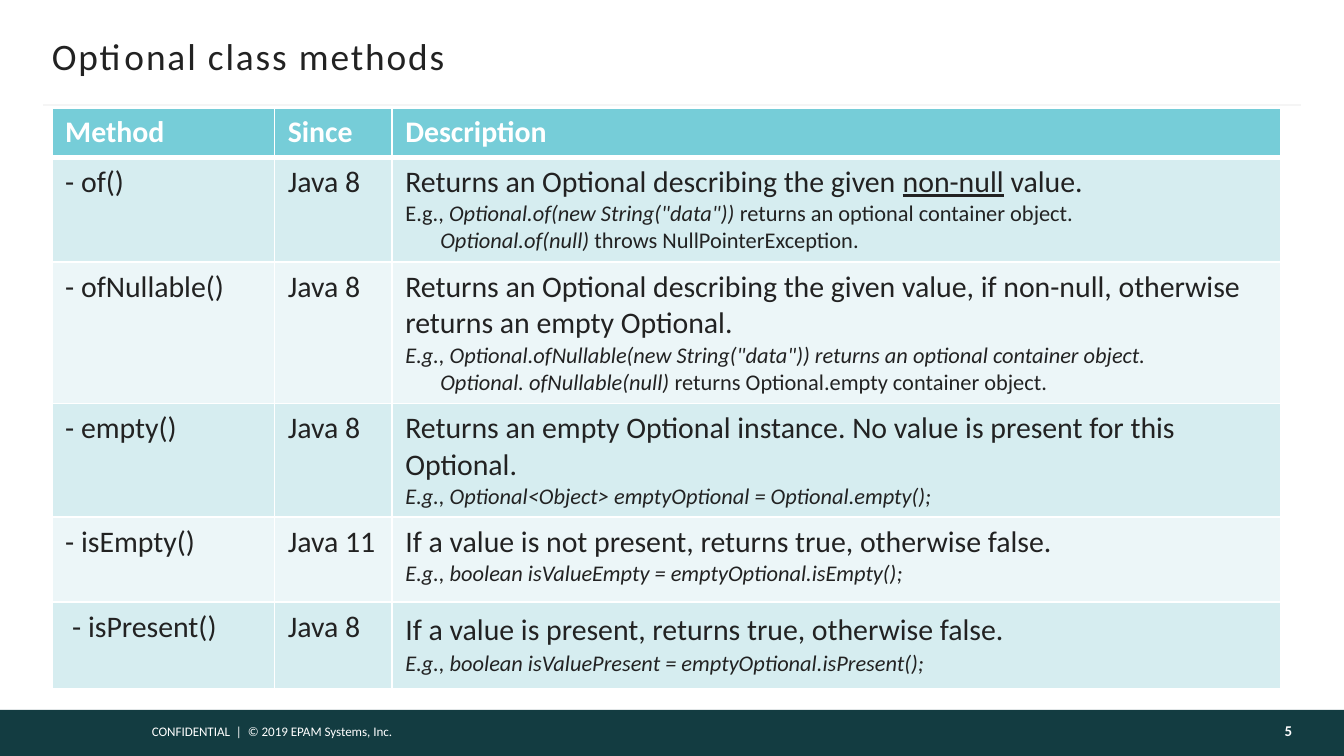
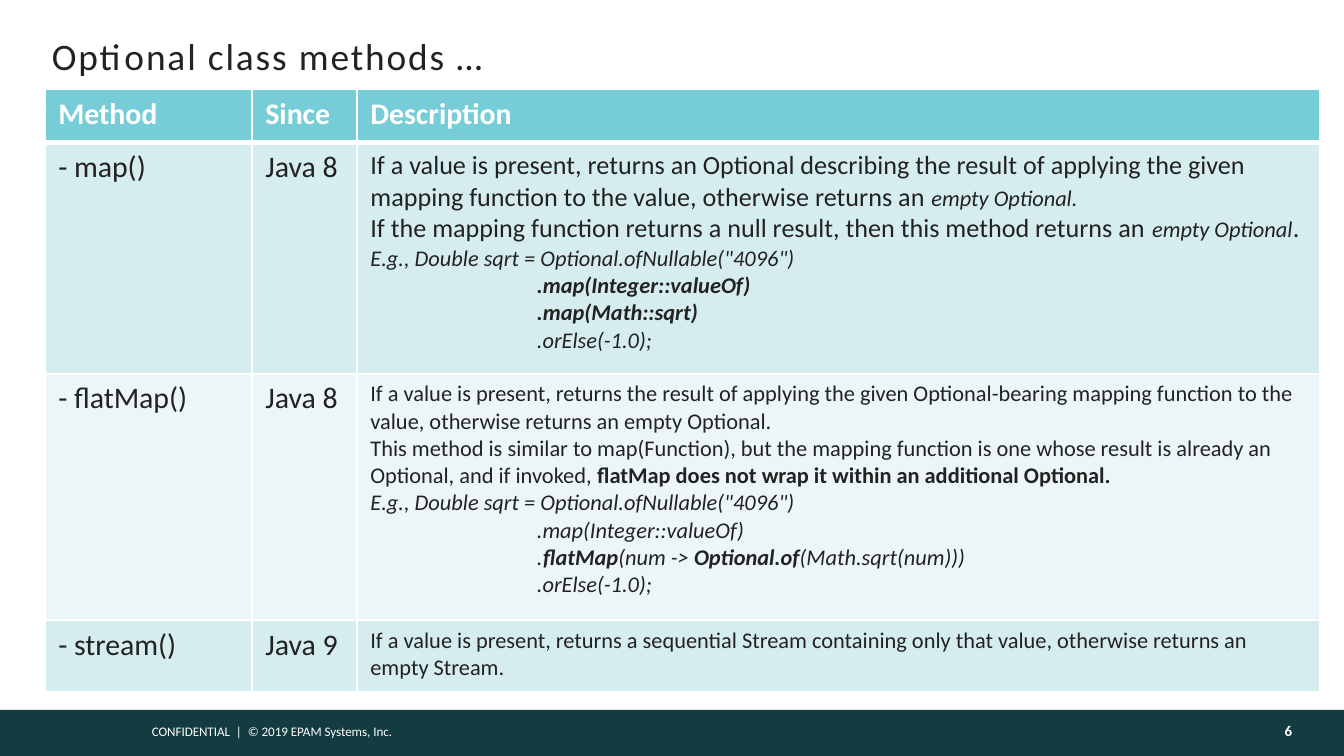
from dataclasses import dataclass
from typing import Any

import lxml.etree
import pptx
import pptx.dml.color
import pptx.enum.shapes
import pptx.enum.text
import pptx.oxml.ns
import pptx.util

# Shared scale, colours and type
EMU_PER_PX = 9525
SLIDE_WIDTH, SLIDE_HEIGHT = 960, 540
BAND_TOP = 507
FONT = "Calibri"
WHITE, INK, DARK_TEAL, RULE_GREY = "FFFFFF", "222222", "133C41", "F5F5F5"
HEADER_FILL = "76CDD8"
BAND_FILLS = ("D6EDF0", "ECF6F8")
FOOTER = "CONFIDENTIAL  |  © 2019 EPAM Systems, Inc."
HEADINGS = ("Method", "Since", "Description")
CHAIN = "\n" + " " * 33
EXAMPLE_INDENT = 25

MIDDLE = pptx.enum.text.MSO_ANCHOR.MIDDLE
LEFT = pptx.enum.text.PP_ALIGN.LEFT
RIGHT = pptx.enum.text.PP_ALIGN.RIGHT


@dataclass(frozen=True)
class Run:
    text: str
    size: int = 16
    style: str = ""  # any of b, i, u


@dataclass(frozen=True)
class Line:
    runs: tuple[Run, ...]
    indent: int = 0


@dataclass(frozen=True)
class Method:
    name: str
    since: str
    description: tuple[Line, ...]
    height: int
    indent: int = 0


@dataclass(frozen=True)
class MethodSlide:
    title: str
    number: int
    left: int
    top: int
    column_widths: tuple[int, ...]
    header_height: int
    methods: tuple[Method, ...]


def line(text: str, size: int = 16, style: str = "") -> Line:
    return Line((Run(text, size, style),))


def example(text: str) -> Line:
    return line(text, 12, "i")


# Slide contents
SLIDES = (
    MethodSlide("Optional class methods", 5, 37, 77, (159, 84, 635), 35, (
        Method("- of()", "Java 8", (
            Line((Run("Returns an Optional describing the given "),
                  Run("non-null", style="u"), Run(" value."))),
            Line((Run("E.g., ", 12), Run('Optional.of(new String("data"))', 12, "i"),
                  Run(" returns an optional container object.", 12))),
            Line((Run("Optional.of(null)", 12, "i"),
                  Run(" throws NullPointerException.", 12)), EXAMPLE_INDENT),
        ), 75),
        Method("- ofNullable()", "Java 8", (
            line("Returns an Optional describing the given value, if non-null, "
                 "otherwise returns an empty Optional."),
            example('E.g., Optional.ofNullable(new String("data")) '
                    "returns an optional container object."),
            Line((Run("Optional. ofNullable(null) ", 12, "i"),
                  Run("returns Optional.empty container object.", 12)), EXAMPLE_INDENT),
        ), 101),
        Method("- empty()", "Java 8", (
            line("Returns an empty Optional instance. "
                 "No value is present for this Optional."),
            example("E.g., Optional<Object> emptyOptional = Optional.empty();"),
        ), 81),
        Method("- isEmpty()", "Java 11", (
            line("If a value is not present, returns true, otherwise false."),
            example("E.g., boolean isValueEmpty = emptyOptional.isEmpty();"),
        ), 61),
        Method("- isPresent()", "Java 8", (
            Line((Run("If a value is present, returns true, otherwise false."),
                  Run(" ", 18))),
            example("E.g., boolean isValuePresent = emptyOptional.isPresent();"),
        ), 62, 5),
    )),
    MethodSlide("Optional class methods …", 6, 32, 64, (148, 75, 688), 38, (
        Method("- map()", "Java 8", (
            Line((Run("If a value is present, returns an Optional describing the result of "
                      "applying the given mapping function to the value, otherwise "
                      "returns an ", 14), Run("empty Optional.", 12, "i"))),
            Line((Run("If the mapping function returns a null result, "
                      "then this method returns an ", 14),
                  Run("empty Optional", 12, "i"), Run(".", 14))),
            Line((Run('E.g., Double sqrt = Optional.ofNullable("4096")', 12, "i"),
                  Run(f"{CHAIN}.map(Integer::valueOf){CHAIN}.map(Math::sqrt)", 12, "bi"),
                  Run(f"{CHAIN}.orElse(-1.0);", 12, "i"))),
        ), 165),
        Method("- flatMap()", "Java 8", (
            line("If a value is present, returns the result of applying the given "
                 "Optional-bearing mapping function to the value, otherwise returns "
                 "an empty Optional.", 12),
            Line((Run("This method is similar to map(Function), but the mapping function is "
                      "one whose result is already an Optional, and if invoked, ", 12),
                  Run("flatMap does not wrap it within an additional Optional.", 12, "b"))),
            Line((Run('E.g., Double sqrt = Optional.ofNullable("4096")'
                      f"{CHAIN}.map(Integer::valueOf){CHAIN}.", 12, "i"),
                  Run("flatMap", 12, "bi"), Run("(num -> ", 12, "i"),
                  Run("Optional.of", 12, "bi"),
                  Run(f"(Math.sqrt(num))){CHAIN}.orElse(-1.0);", 12, "i"))),
        ), 176),
        Method("- stream()", "Java 9", (
            line("If a value is present, returns a sequential Stream containing only that "
                 "value, otherwise returns an empty Stream.", 12),
        ), 51),
    )),
)


# Helpers
def px(length: int) -> pptx.util.Emu:
    return pptx.util.Emu(length * EMU_PER_PX)


def colour(value: str) -> pptx.dml.color.RGBColor:
    return pptx.dml.color.RGBColor.from_string(value)


def apply_format(target: Any, values: dict[str, Any]) -> None:
    for name, value in values.items():
        setattr(target, name, value)


def sub_element(parent: Any, tag: str, **attributes: str) -> Any:
    child = lxml.etree.SubElement(parent, pptx.oxml.ns.qn(tag))
    for name, value in attributes.items():
        child.set(name, value)
    return child


def write_run(paragraph: Any, content: Run, font_colour: str) -> None:
    for index, text in enumerate(content.text.split("\n")):
        if index:
            paragraph.add_line_break()
        if not text:
            continue
        run = paragraph.add_run()
        run.text = text
        apply_format(run.font, {
            "name": FONT, "size": pptx.util.Pt(content.size),
            "bold": "b" in content.style, "italic": "i" in content.style,
            "underline": "u" in content.style,
        })
        run.font.color.rgb = colour(font_colour)


def write_lines(text_frame: Any, lines: tuple[Line, ...], font_colour: str) -> None:
    for index, content in enumerate(lines):
        paragraph = text_frame.add_paragraph() if index else text_frame.paragraphs[0]
        if content.indent:
            paragraph._p.get_or_add_pPr().set("marL", str(px(content.indent)))
        for run in content.runs:
            write_run(paragraph, run, font_colour)


# Band, footer and rule, held by the layout
def move_frame_to_layout(slide: Any) -> None:
    band = slide.shapes.add_shape(
        pptx.enum.shapes.MSO_SHAPE.RECTANGLE,
        0, px(BAND_TOP), px(SLIDE_WIDTH), px(SLIDE_HEIGHT - BAND_TOP))
    band.shadow.inherit = False
    band.fill.solid()
    band.fill.fore_color.rgb = colour(DARK_TEAL)
    band.line.fill.background()

    footer = slide.shapes.add_textbox(px(99), px(512), px(254), px(21))
    footer.text_frame.word_wrap = True
    write_lines(footer.text_frame, (line(FOOTER, 7),), WHITE)

    rule = slide.shapes.add_connector(
        pptx.enum.shapes.MSO_CONNECTOR.STRAIGHT, px(31), px(75), px(929), px(75))
    rule.line.color.rgb = colour(RULE_GREY)
    rule.line.width = pptx.util.Pt(1.5)
    sub_element(rule.element.spPr, "a:effectLst")

    for shape_id, shape in enumerate((band, footer, rule), start=101):
        shape.element.xpath(".//p:cNvPr")[0].set("id", str(shape_id))
        slide.slide_layout.shapes.element.append(shape.element)


# Title and slide number
def add_title(slide: Any, text: str) -> None:
    title = slide.shapes.title
    apply_format(title, {"left": px(37), "top": px(24), "width": px(885), "height": px(32)})
    apply_format(title.text_frame, {
        "margin_left": 0, "margin_right": 0, "margin_top": px(5), "margin_bottom": px(5),
        "vertical_anchor": MIDDLE, "word_wrap": True,
        "auto_size": pptx.enum.text.MSO_AUTO_SIZE.NONE,
    })
    write_lines(title.text_frame, (line(text, 20),), INK)
    paragraph = title.text_frame.paragraphs[0]
    paragraph.alignment = LEFT
    paragraph.runs[0].font._element.set("spc", "100")


def add_slide_number(slide: Any, number: int) -> None:
    box = slide.shapes.add_textbox(px(779), px(BAND_TOP), px(144), px(33))
    apply_format(box.text_frame, {
        "margin_left": px(10), "margin_right": 0, "margin_top": px(5),
        "margin_bottom": px(9), "vertical_anchor": MIDDLE, "word_wrap": True,
    })
    write_lines(box.text_frame, (line(str(number), 8, "b"),), "FEFEFE")
    box.text_frame.paragraphs[0].alignment = RIGHT


# Method table
def format_cell(cell: Any, row_index: int) -> None:
    properties = cell._tc.get_or_add_tcPr()
    widths = {"L": 1, "R": 1, "T": 3 if row_index == 1 else 1, "B": 1 if row_index else 3}
    for side, width in widths.items():
        border = sub_element(properties, f"a:ln{side}", w=str(pptx.util.Pt(width)))
        sub_element(sub_element(border, "a:solidFill"), "a:srgbClr", val=WHITE)
    cell.fill.solid()
    fill = BAND_FILLS[(row_index - 1) % 2] if row_index else HEADER_FILL
    cell.fill.fore_color.rgb = colour(fill)


def add_method_table(slide: Any, content: MethodSlide) -> None:
    heights = [content.header_height] + [method.height for method in content.methods]
    rows = [tuple((line(heading, 16, "b"),) for heading in HEADINGS)]
    for method in content.methods:
        name = Line((Run(method.name),), method.indent)
        rows.append(((name,), (line(method.since),), method.description))

    table = slide.shapes.add_table(
        len(rows), len(HEADINGS), px(content.left), px(content.top),
        px(sum(content.column_widths)), px(sum(heights))).table
    for column, width in zip(table.columns, content.column_widths):
        column.width = px(width)
    for row_index, (cells, height) in enumerate(zip(rows, heights)):
        table.rows[row_index].height = px(height)
        for column_index, lines in enumerate(cells):
            cell = table.cell(row_index, column_index)
            format_cell(cell, row_index)
            write_lines(cell.text_frame, lines, INK if row_index else WHITE)


def main() -> None:
    presentation = pptx.Presentation()
    presentation.slide_width = px(SLIDE_WIDTH)
    presentation.slide_height = px(SLIDE_HEIGHT)
    layout = presentation.slide_layouts.get_by_name("Title Only")
    for index, content in enumerate(SLIDES):
        slide = presentation.slides.add_slide(layout)
        if index == 0:
            move_frame_to_layout(slide)
        add_title(slide, content.title)
        add_slide_number(slide, content.number)
        add_method_table(slide, content)
    presentation.save("out.pptx")


if __name__ == "__main__":
    main()
